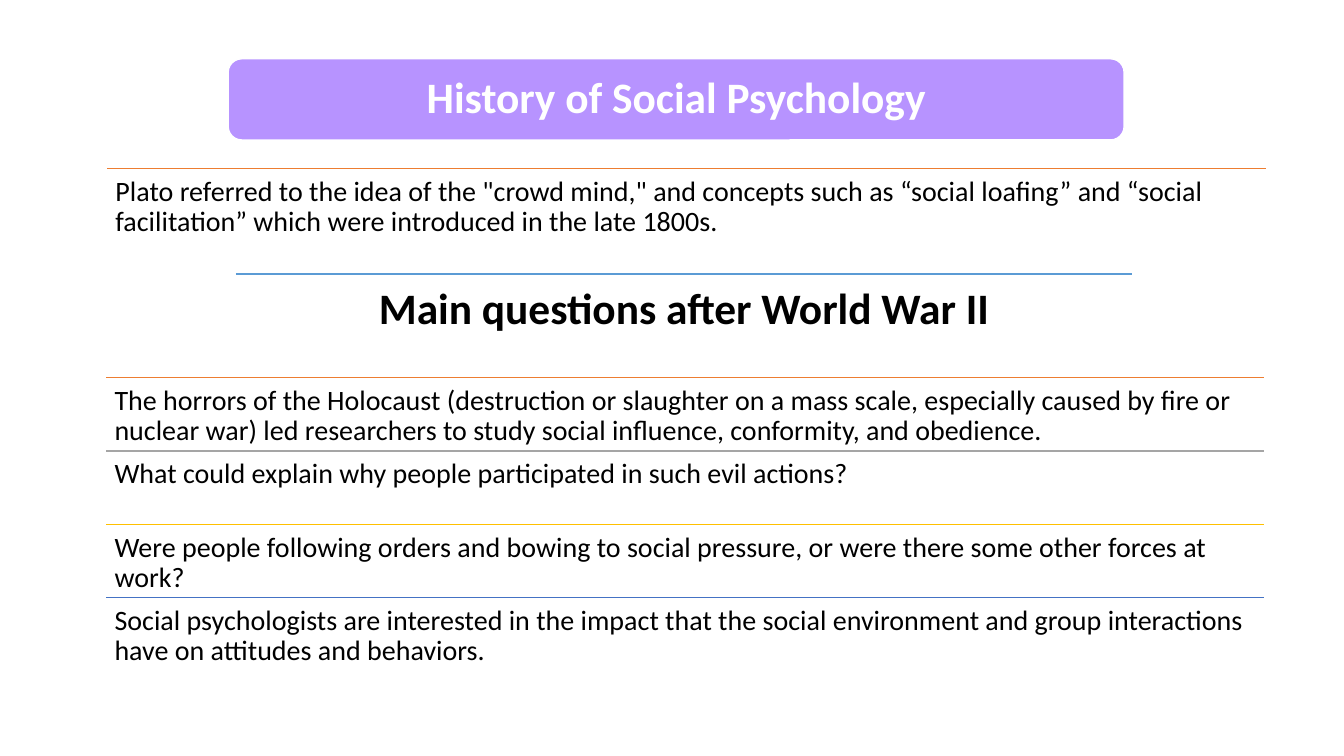
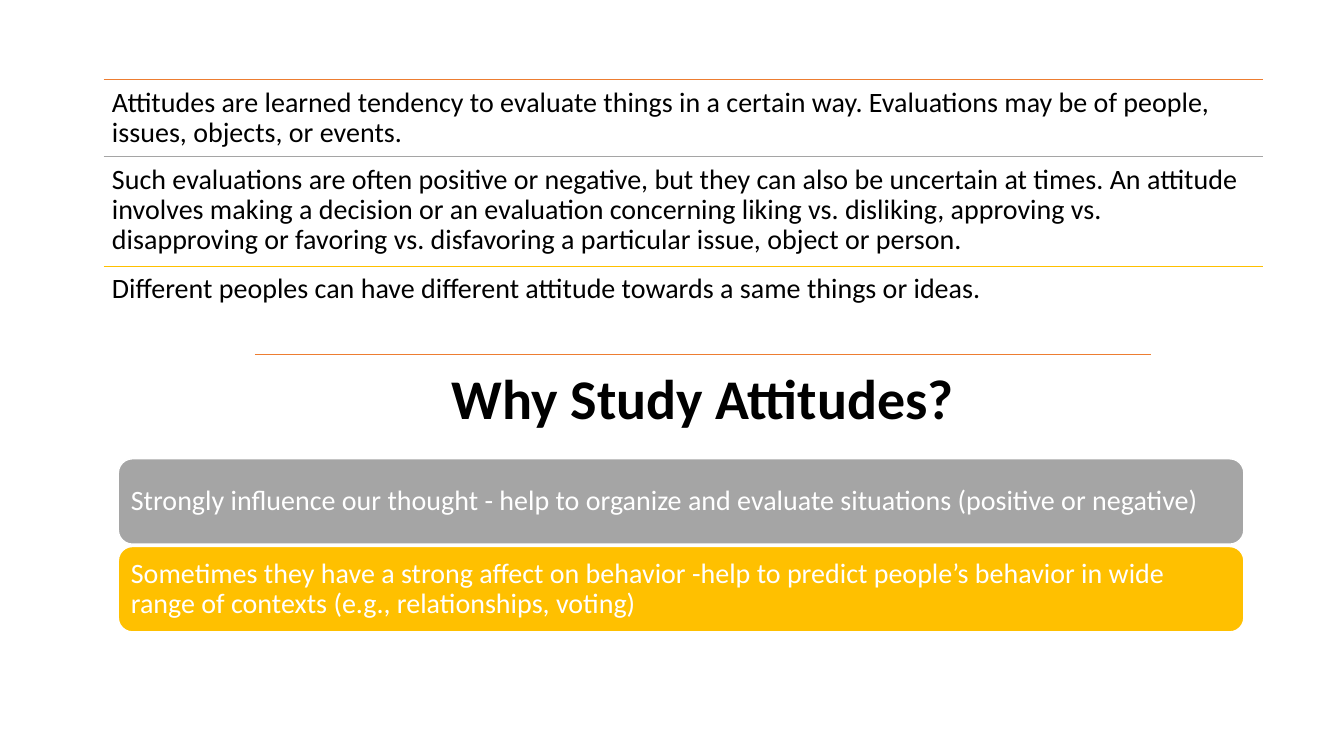
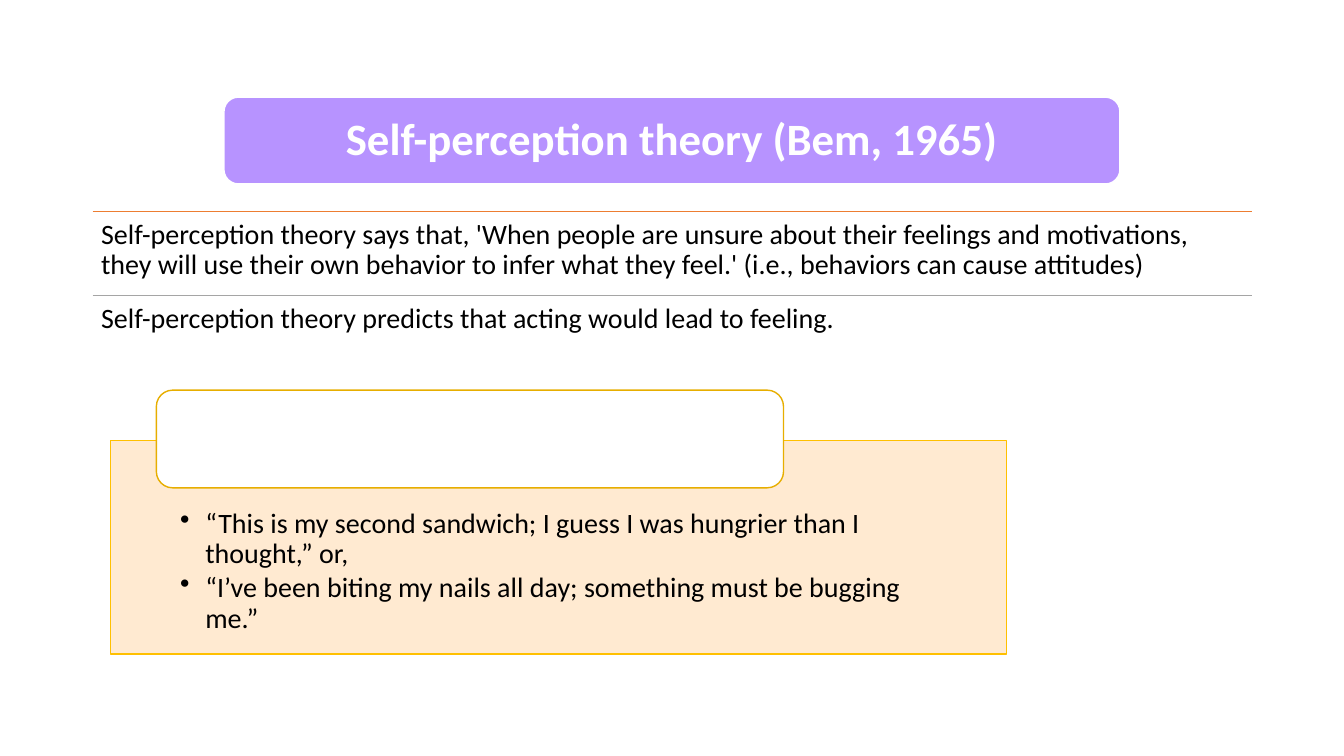
"""Build three slides on the history of social psychology and attitudes."""
from dataclasses import dataclass

import pptx
import pptx.dml.color
import pptx.enum.shapes
import pptx.enum.text
import pptx.oxml
import pptx.oxml.ns
import pptx.util
from lxml import etree
from pptx.shapes.autoshape import Shape
from pptx.slide import Slide

Pt = pptx.util.Pt
Kind = pptx.enum.shapes.MSO_SHAPE
Align = pptx.enum.text.PP_ALIGN
Anchor = pptx.enum.text.MSO_ANCHOR
qn = pptx.oxml.ns.qn

COLORS = {
    "black": "000000", "white": "FFFFFF", "purple": "B793FF",
    "orange": "ED7D31", "gray": "A5A5A5", "gold": "FFC000",
    "navy": "4472C4", "sky": "5B9BD5", "peach": "FFE8CC", "amber": "E7AE00",
}
FONT = "Calibri"
BODY = 20
HEAD_WIDTH = 640


@dataclass
class Area:
    left: float
    top: float
    width: float
    height: float

    def box(self) -> tuple:
        return Pt(self.left), Pt(self.top), Pt(self.width), Pt(self.height)


@dataclass
class Row:
    text: str
    color: str
    height: float


def rgb(name: str) -> pptx.dml.color.RGBColor:
    return pptx.dml.color.RGBColor.from_string(COLORS[name])


def add_node(parent: etree._Element, tag: str, **attrs: str) -> None:
    node = etree.SubElement(parent, qn(tag))
    for key, value in attrs.items():
        node.set(key, value)


def write(shape: Shape, lines: list[str], size: float = BODY, color: str = "black",
          bold: bool = False, align: Align = Align.LEFT, anchor: Anchor = Anchor.TOP,
          inset: tuple | None = None, bullet: bool = False) -> None:
    frame = shape.text_frame
    frame.word_wrap = True
    frame.vertical_anchor = anchor
    left, top, right, bottom = inset or (0.3 * size,) * 4
    frame.margin_left, frame.margin_top = Pt(left), Pt(top)
    frame.margin_right, frame.margin_bottom = Pt(right), Pt(bottom)
    frame.text = "\n".join(lines)
    for para in frame.paragraphs:
        para.alignment = align
        para.line_spacing = 0.9
        if bullet:
            para.space_after = Pt(3)
            props = para._p.get_or_add_pPr()
            props.set("marL", str(Pt(18)))
            props.set("indent", str(-Pt(18)))
            add_node(props, "a:buChar", char="•")
        font = para.font
        font.name, font.size, font.bold = FONT, Pt(size), bold
        font.color.rgb = rgb(color)


def add_panel(slide: Slide, kind: Kind, area: Area, fill: str, line: str = "white") -> Shape:
    shape = slide.shapes.add_shape(kind, *area.box())
    shape.shadow.inherit = False
    shape.fill.solid()
    shape.fill.fore_color.rgb = rgb(fill)
    shape.line.color.rgb = rgb(line)
    shape.line.width = Pt(1)
    return shape


def add_title(slide: Slide, text: str, area: Area, size: float) -> None:
    panel = add_panel(slide, Kind.ROUNDED_RECTANGLE, area, "purple")
    write(panel, [text], size, "white", True, Align.CENTER, Anchor.MIDDLE)


def add_ruled(slide: Slide, text: str, area: Area, color: str, size: float = BODY,
              bold: bool = False, align: Align = Align.LEFT) -> None:
    left, top, width, _ = area.box()
    rule = slide.shapes.add_connector(
        pptx.enum.shapes.MSO_CONNECTOR.STRAIGHT, left, top, left + width, top)
    rule.line.color.rgb = rgb(color)
    rule.line.width = Pt(1)
    add_node(rule._element.spPr, "a:effectLst")
    write(slide.shapes.add_textbox(*area.box()), [text], size, bold=bold, align=align)


def add_rows(slide: Slide, left: float, top: float, width: float, rows: list[Row]) -> None:
    for row in rows:
        add_ruled(slide, row.text, Area(left, top, width, row.height), row.color)
        top += row.height


def add_head(slide: Slide, text: str, area: Area, color: str, size: float) -> None:
    add_ruled(slide, text, area, color, size, True, Align.CENTER)


def build_past(slide: Slide) -> None:
    add_rows(slide, 76.5, 120.3, 828, [
        Row('Plato referred to the idea of the "crowd mind," and concepts such as “social loafing” '
            "and “social facilitation” which were introduced in the late 1800s.", "orange", 80),
    ])
    add_title(slide, "History of Social Psychology", Area(163, 42, HEAD_WIDTH, 58), 31)
    add_head(slide, "Main questions after World War II",
             Area(168.5, 195.7, HEAD_WIDTH, 53), "sky", 31)
    step = 52.4
    add_rows(slide, 75.8, 269.8, 827, [
        Row("The horrors of the Holocaust (destruction or slaughter on a mass scale, especially "
            "caused by fire or nuclear war) led researchers to study social influence, "
            "conformity, and obedience.", "orange", step),
        Row("What could explain why people participated in such evil actions?", "gray", step),
        Row("Were people following orders and bowing to social pressure, or were there some "
            "other forces at work?", "gold", step),
        Row("Social psychologists are interested in the impact that the social environment and "
            "group interactions have on attitudes and behaviors.", "navy", step),
    ])


def build_views(slide: Slide) -> None:
    bars = [
        ("Strongly influence our thought - help to organize and evaluate situations "
         "(positive or negative)", "gray"),
        ("Sometimes they have a strong affect on behavior -help to predict people’s behavior in "
         "wide range of contexts (e.g., relationships, voting)", "gold"),
    ]
    for i, (text, fill) in enumerate(bars):
        area = Area(84.5, 327.7 + 62.7 * i, 804, 61)
        bar = add_panel(slide, Kind.ROUNDED_RECTANGLE, area, fill)
        write(bar, [text], color="white", anchor=Anchor.MIDDLE)
    add_head(slide, "Why Study Attitudes?", Area(182, 253.3, HEAD_WIDTH, 69), "orange", 40)
    add_rows(slide, 74, 57, 828, [
        Row("Attitudes are learned tendency to evaluate things in a certain way. Evaluations may "
            "be of people, issues, objects, or events.", "orange", 55),
        Row("Such evaluations are often positive or negative, but they can also be uncertain at "
            "times. An attitude involves making a decision or an evaluation concerning liking "
            "vs. disliking, approving vs. disapproving or favoring vs. disfavoring a particular "
            "issue, object or person.", "gray", 78.3),
        Row("Different peoples can have different attitude towards a same things or ideas.",
            "gold", 55),
    ])


def build_self(slide: Slide) -> None:
    add_rows(slide, 66.2, 151.1, 828, [
        Row("Self-perception theory says that, 'When people are unsure about their feelings and "
            "motivations, they will use their own behavior to infer what they feel.' (i.e., "
            "behaviors can cause attitudes)", "orange", 60),
        Row("Self-perception theory predicts that acting would lead to feeling.", "gray", 60),
    ])
    add_title(slide, "Self-perception theory (Bem, 1965)", Area(160, 69.4, HEAD_WIDTH, 62), 32)
    quote = add_panel(slide, Kind.RECTANGLE, Area(79, 314.5, HEAD_WIDTH, 152.7), "peach", "gold")
    add_node(quote._element.spPr.find(qn("a:solidFill"))[0], "a:alpha", val="90000")
    write(quote, [
        "“This is my second sandwich; I guess I was hungrier than I thought,” or,",
        "“I’ve been biting my nails all day; something must be bugging me.”",
    ], inset=(49.7, 49, 49.7, 11.5), bullet=True)
    add_panel(slide, Kind.ROUNDED_RECTANGLE, Area(111.7, 278.7, 448, 69.8), "white", "amber")


def main() -> None:
    deck = pptx.Presentation()
    deck.slide_width, deck.slide_height = Pt(960), Pt(540)
    for build in (build_past, build_views, build_self):
        build(deck.slides.add_slide(deck.slide_layouts[6]))
    deck.save("out.pptx")


if __name__ == "__main__":
    main()
